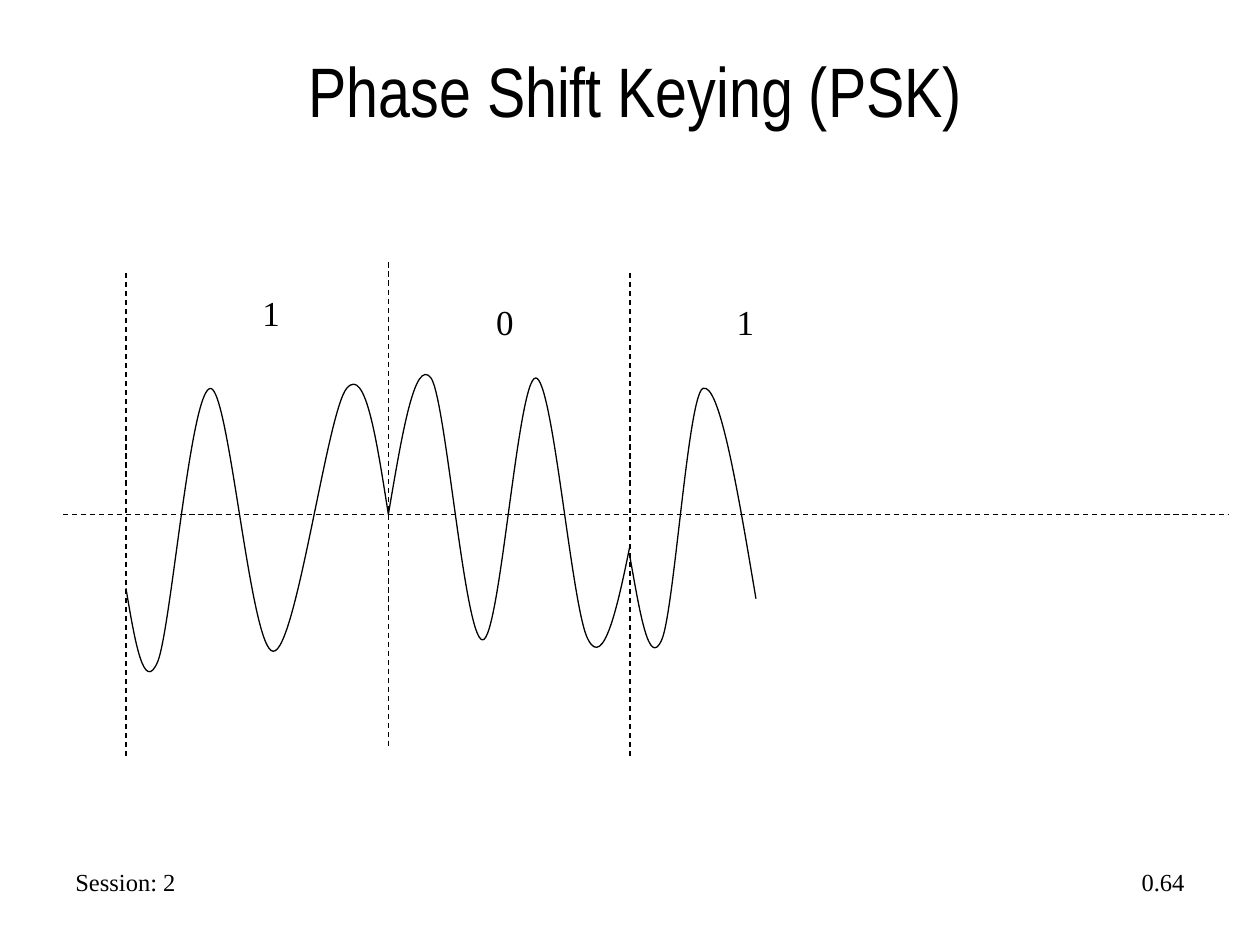
from pptx import Presentation
from pptx.dml.color import RGBColor
from pptx.enum.dml import MSO_LINE_DASH_STYLE as Dash
from pptx.enum.shapes import MSO_CONNECTOR
from pptx.enum.text import MSO_ANCHOR as Anchor, MSO_AUTO_SIZE as AutoSize, PP_ALIGN as Align
from pptx.oxml.ns import qn
from pptx.util import Cm, Pt
from lxml.etree import SubElement

COLORS = {"ink": "000000", "background": "FFFFFF"}
INK = RGBColor.from_string(COLORS["ink"])

presentation = Presentation()
presentation.slide_width, presentation.slide_height = Cm(25.4), Cm(19.05)
slide = presentation.slides.add_slide(presentation.slide_layouts[6])
slide.background.fill.solid()
slide.background.fill.fore_color.rgb = RGBColor.from_string(COLORS["background"])


def add_text(text, left, top, width, height, size=20, font="Times New Roman",
             align=Align.LEFT, anchor=Anchor.TOP, wrap=True,
             auto_size=AutoSize.SHAPE_TO_FIT_TEXT):
    box = slide.shapes.add_textbox(Cm(left), Cm(top), Cm(width), Cm(height))
    frame = box.text_frame
    frame.word_wrap = wrap
    frame.auto_size = auto_size
    frame.vertical_anchor = anchor
    paragraph = frame.paragraphs[0]
    paragraph.alignment = align
    run = paragraph.add_run()
    run.text = text
    run.font.size, run.font.name = Pt(size), font
    run.font.color.rgb = INK


def style_line(line):
    line.color.rgb = INK
    line.width = Pt(0.75)


# Footer and title
add_text("Session: 2", 1.27, 17.35, 6.55, 0.86, size=14)
add_text("0.64", 18.21, 17.35, 5.92, 0.86, size=14, align=Align.RIGHT)
add_text("Phase Shift Keying (PSK)", 1.27, 0.64, 23.07, 2.33, size=40,
         font="Arial Narrow", align=Align.CENTER, anchor=Anchor.MIDDLE,
         auto_size=AutoSize.NONE)

# Time axis and bit boundaries
dashed_lines = [
    (1.27, 10.37, 24.77, 10.37),
    (2.54, 5.5, 2.54, 15.24),
    (7.83, 5.29, 7.83, 15.03),
    (12.7, 5.5, 12.7, 15.24),
]
for ends in dashed_lines:
    connector = slide.shapes.add_connector(MSO_CONNECTOR.STRAIGHT, *map(Cm, ends))
    style_line(connector.line)
    connector.line.dash_style = Dash.DASH
    SubElement(connector._element.spPr, qn("a:effectLst"))

# Bit values
for bit, left, top, wrap in [("1", 5.04, 5.75, False), ("0", 9.75, 5.93, False),
                             ("1", 14.6, 5.93, True)]:
    add_text(bit, left, top, 0.86, 1.12, wrap=wrap)

# Carrier wave per bit: a start, then two control points and an end per curve
waves = [
    [(2.54, 11.86),
     (2.72, 12.93), (2.9, 14), (3.18, 13.34),
     (3.45, 12.67), (3.84, 7.87), (4.24, 7.83),
     (4.62, 7.8), (5.05, 13.13), (5.51, 13.13),
     (5.97, 13.13), (6.6, 8.28), (6.99, 7.83),
     (7.37, 7.37), (7.59, 8.86), (7.83, 10.37)],
    [(7.83, 10.37),
     (8.1, 8.79), (8.36, 7.19), (8.69, 7.62),
     (8.99, 8.05), (9.37, 12.9), (9.73, 12.9),
     (10.08, 12.9), (10.44, 7.62), (10.8, 7.62),
     (11.15, 7.62), (11.53, 12.34), (11.86, 12.9),
     (12.17, 13.49), (12.45, 12.24), (12.7, 11)],
    [(12.7, 11.23),
     (12.9, 12.34), (13.08, 13.49), (13.34, 12.9),
     (13.59, 12.34), (13.87, 7.98), (14.17, 7.83),
     (14.5, 7.7), (14.86, 9.8), (15.24, 12.07)],
]
for wave in waves:
    start, *points = [(Cm(x), Cm(y)) for x, y in wave]
    builder = slide.shapes.build_freeform(*start)
    builder.add_line_segments(points, close=False)
    shape = builder.convert_to_shape()
    shape.shadow.inherit = False
    shape.fill.background()
    style_line(shape.line)

    # Join every three straight segments into one cubic curve
    outline = next(shape._element.iter(qn("a:path")))
    segments = outline.findall(qn("a:lnTo"))
    for first in range(0, len(segments), 3):
        curve = SubElement(outline, qn("a:cubicBezTo"))
        for segment in segments[first:first + 3]:
            curve.append(segment[0])
            outline.remove(segment)

presentation.save("out.pptx")
